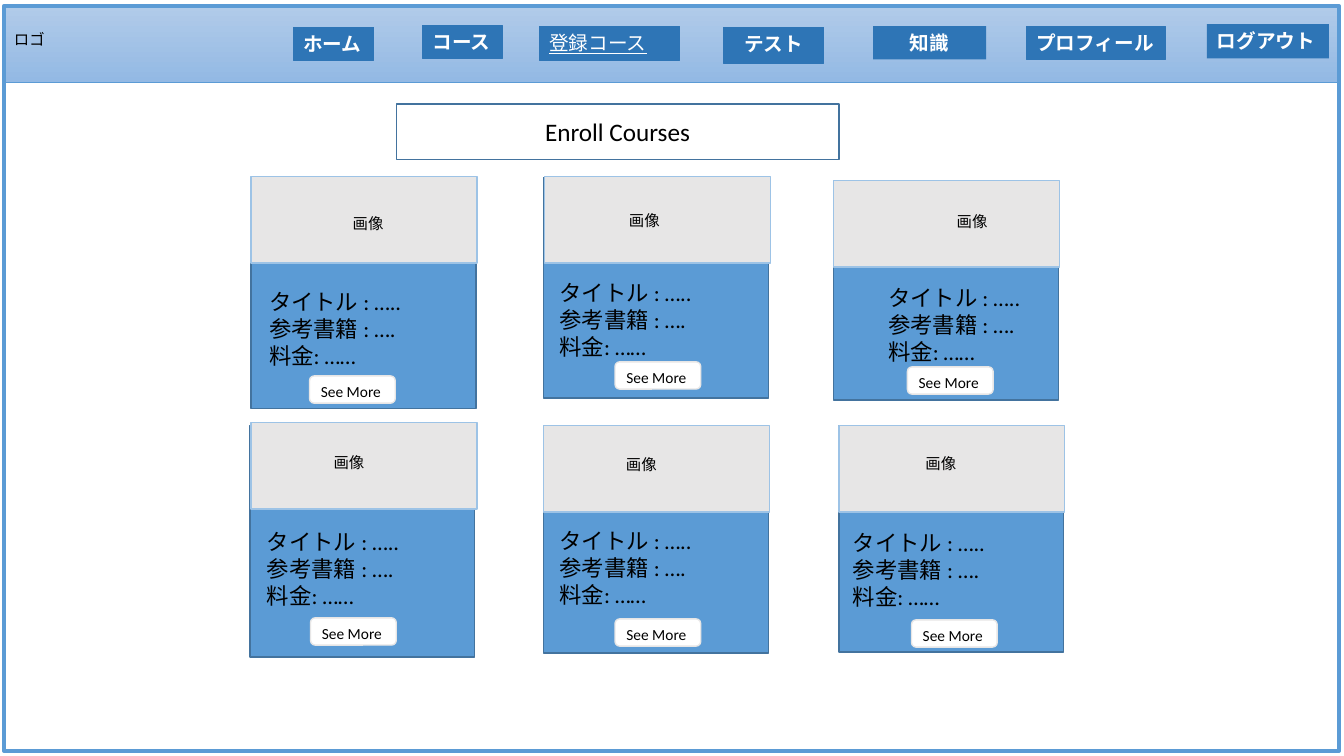
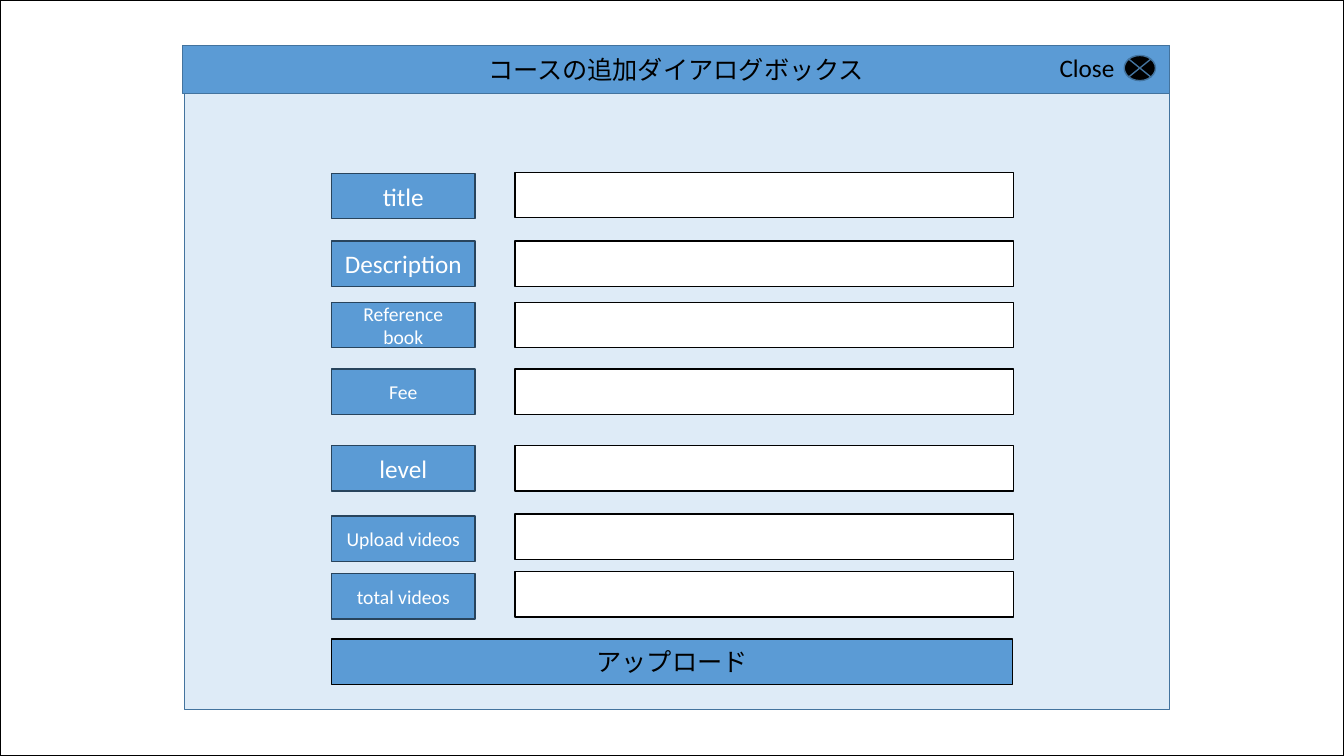
import pptx
import pptx.dml.color
import pptx.enum.shapes
import pptx.enum.text
import pptx.util

Inches = pptx.util.Inches
SHAPES = pptx.enum.shapes.MSO_SHAPE
ALIGN = pptx.enum.text.PP_ALIGN
ANCHOR = pptx.enum.text.MSO_ANCHOR

COLORS = {
    "white": "FFFFFF", "black": "000000", "blue": "5B9BD5", "navy": "2E75B6",
    "edge": "43739E", "label_edge": "28445D", "pale": "DEEBF7", "gray": "E7E6E6",
    "sky": "9DC3E6", "band_top": "B1CBE9", "band_bottom": "93B9E4",
}
FONT = "Calibri"

# Slide 1: course list
HEADER = (0.04, 0.06, 13.24, 0.76)
FRAME = (0.04, 0.06, 13.24, 7.39)
LOGO = ("ロゴ", (0.04, 0.25, 1.4, 0.42))
# text, box, alignment, line colour, font format
NAV = [
    ("ホーム", (2.91, 0.27, 0.8, 0.33), ALIGN.LEFT, "navy", {"bold": True}),
    ("コース", (4.19, 0.25, 0.79, 0.33), ALIGN.LEFT, "navy", {"bold": True}),
    ("登録コース", (5.35, 0.26, 1.39, 0.34), ALIGN.LEFT, "navy", {"underline": True}),
    ("テスト", (7.18, 0.27, 0.99, 0.36), ALIGN.CENTER, "navy", {"bold": True}),
    ("知識", (8.66, 0.26, 1.12, 0.33), ALIGN.CENTER, None, {"bold": True}),
    ("プロフィール", (10.18, 0.26, 1.38, 0.33), ALIGN.LEFT, "navy", {"bold": True}),
    ("ログアウト", (11.97, 0.24, 1.21, 0.34), ALIGN.LEFT, None, {"bold": True}),
]
HEADING = ("Enroll Courses", (3.93, 1.03, 4.39, 0.55))
IMAGE_TEXT = "画像"
DETAILS = ["タイトル : …..", "参考書籍 : ….", "料金: ……"]
BUTTON_TEXT = "See More"
# Left and top of each part; the body also has its height
CARDS = [
    {"body": (2.49, 1.77, 2.28), "image": (2.49, 1.75), "caption": (3.4, 2.08),
     "details": (2.57, 2.81), "button": (3.07, 3.73)},
    {"body": (5.39, 1.76, 2.19), "image": (5.4, 1.75), "caption": (6.14, 2.05),
     "details": (5.45, 2.72), "button": (6.1, 3.59)},
    {"body": (8.27, 1.79, 2.18), "image": (8.27, 1.79), "caption": (9.39, 2.06),
     "details": (8.71, 2.77), "button": (9, 3.64)},
    {"body": (2.48, 4.22, 2.3), "image": (2.49, 4.19), "caption": (3.21, 4.45),
     "details": (2.55, 5.19), "button": (3.08, 6.13)},
    {"body": (5.39, 4.22, 2.26), "image": (5.39, 4.22), "caption": (6.11, 4.47),
     "details": (5.45, 5.18), "button": (6.1, 6.14)},
    {"body": (8.32, 4.22, 2.25), "image": (8.32, 4.22), "caption": (9.08, 4.46),
     "details": (8.36, 5.2), "button": (9.04, 6.15)},
]
BODY_WIDTH = 2.23
IMAGE_SIZE = (2.24, 0.86)
CAPTION_SIZE = (0.77, 0.4)
DETAILS_SIZE = (2.14, 0.93)
BUTTON_SIZE = (0.85, 0.27)

# Slide 2: dialog for a new course
PAGE = (0, 0, 13.33, 7.5)
DIALOG = (1.83, 0.45, 9.77, 6.59)
DIALOG_TITLE = ("コースの追加ダイアログボックス", (1.81, 0.45, 9.79, 0.48))
CLOSE = ("Close", (10.41, 0.47, 0.89, 0.4))
CLOSE_ICON = (11.15, 0.55, 0.31, 0.25)
# label, font size, top of the label, top of the field
FIELDS = [
    ("title", 18, 1.72, 1.71),
    ("Description", 18, 2.39, 2.39),
    ("Reference book", 14, 3, 3),
    ("Fee", 14, 3.66, 3.66),
    ("level", 18, 4.42, 4.42),
    ("Upload videos", 14, 5.12, 5.1),
    ("total videos", 14, 5.69, 5.67),
]
LABEL_LEFT, LABEL_WIDTH = 3.29, 1.42
FIELD_LEFT, FIELD_WIDTH = 5.11, 4.94
ROW_HEIGHT = 0.45
UPLOAD = ("アップロード", (3.29, 6.34, 6.75, ROW_HEIGHT))


def rgb(name):
    """Return the named colour."""
    return pptx.dml.color.RGBColor.from_string(COLORS[name])


def write(shape, lines, size, color="black", align=ALIGN.LEFT, anchor=ANCHOR.TOP, **font):
    """Put one paragraph per line into a shape."""
    frame = shape.text_frame
    frame.word_wrap = True
    frame.vertical_anchor = anchor
    if align == ALIGN.LEFT:
        frame.margin_right = 0
    frame.text = "\n".join(lines)
    font_format = {"name": FONT, "size": pptx.util.Pt(size), **font}
    for paragraph in frame.paragraphs:
        paragraph.alignment = align
        for run in paragraph.runs:
            run.font.color.rgb = rgb(color)
            for key, value in font_format.items():
                setattr(run.font, key, value)


def draw(slide, box, fill=None, line=None, width=1, kind=SHAPES.RECTANGLE):
    """Add a preset shape without a shadow."""
    shape = slide.shapes.add_shape(kind, *map(Inches, box))
    shape.shadow.inherit = False
    if fill:
        shape.fill.solid()
        shape.fill.fore_color.rgb = rgb(fill)
    else:
        shape.fill.background()
    if line:
        shape.line.color.rgb = rgb(line)
        shape.line.width = pptx.util.Pt(width)
    else:
        shape.line.fill.background()
    return shape


def label(slide, box, lines, size):
    """Add black text without a frame."""
    write(slide.shapes.add_textbox(*map(Inches, box)), lines, size)


def title_bar(slide, text, box, fill, line="edge"):
    """Add a bar with large centred text."""
    write(draw(slide, box, fill, line), [text], 18,
          align=ALIGN.CENTER, anchor=ANCHOR.MIDDLE)


def header(slide):
    """Add the gradient band, the page frame and the navigation."""
    band = draw(slide, HEADER, line="blue", width=0.5)
    band.fill.gradient()
    band.fill.gradient_angle = 270
    for stop, color in zip(band.fill.gradient_stops, ("band_top", "band_bottom")):
        stop.color.rgb = rgb(color)
    draw(slide, FRAME, line="blue", width=3)
    logo_text, logo_box = LOGO
    label(slide, logo_box, [logo_text], 11)
    for text, box, align, line, font in NAV:
        write(draw(slide, box, "navy", line, 0.75), [text], 14, "white", align, **font)


def course_card(slide, card):
    """Add one course with its image area, details and button."""
    left, top, height = card["body"]
    draw(slide, (left, top, BODY_WIDTH, height), "blue", "edge")
    draw(slide, card["image"] + IMAGE_SIZE, "gray", "sky")
    label(slide, card["caption"] + CAPTION_SIZE, [IMAGE_TEXT], 11)
    label(slide, card["details"] + DETAILS_SIZE, DETAILS, 16)
    button = draw(slide, card["button"] + BUTTON_SIZE, "white", "gray",
                  kind=SHAPES.ROUNDED_RECTANGLE)
    write(button, [BUTTON_TEXT], 11)


def course_list(slide):
    """Build the page of enrolled courses."""
    header(slide)
    for card in CARDS:
        course_card(slide, card)
    title_bar(slide, *HEADING, "white")


def course_dialog(slide):
    """Build the dialog that adds a course."""
    draw(slide, DIALOG, "pale", "edge")
    for text, size, label_top, field_top in FIELDS:
        name = draw(slide, (LABEL_LEFT, label_top, LABEL_WIDTH, ROW_HEIGHT),
                    "blue", "label_edge")
        write(name, [text], size, "white", ALIGN.CENTER, ANCHOR.MIDDLE)
        draw(slide, (FIELD_LEFT, field_top, FIELD_WIDTH, ROW_HEIGHT), "white", "black")
    title_bar(slide, *UPLOAD, "blue", "black")
    draw(slide, PAGE, line="black")
    title_bar(slide, *DIALOG_TITLE, "blue")
    draw(slide, CLOSE_ICON, "black", "edge", kind=SHAPES.FLOWCHART_SUMMING_JUNCTION)
    close_text, close_box = CLOSE
    label(slide, close_box, [close_text], 18)


deck = pptx.Presentation()
deck.slide_width, deck.slide_height = Inches(13.33), Inches(7.5)
for build in (course_list, course_dialog):
    build(deck.slides.add_slide(deck.slide_layouts[6]))
deck.save("out.pptx")
